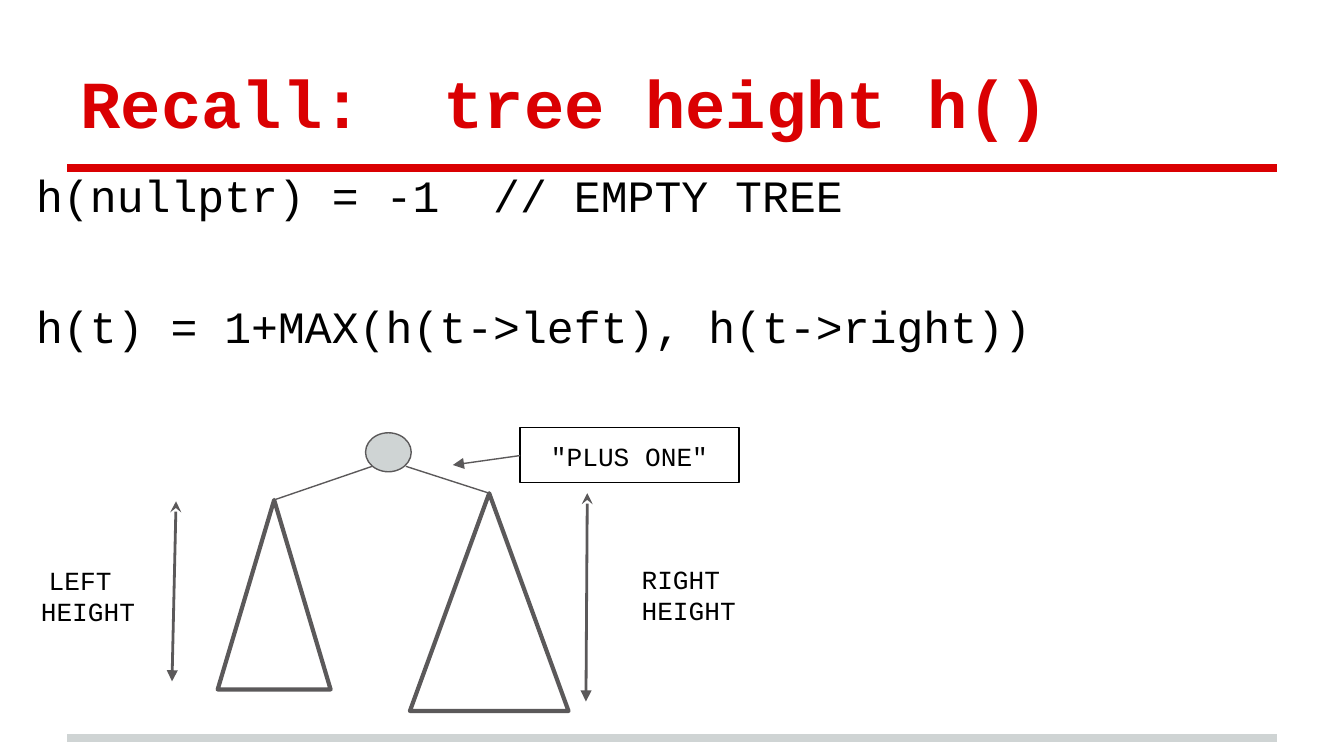
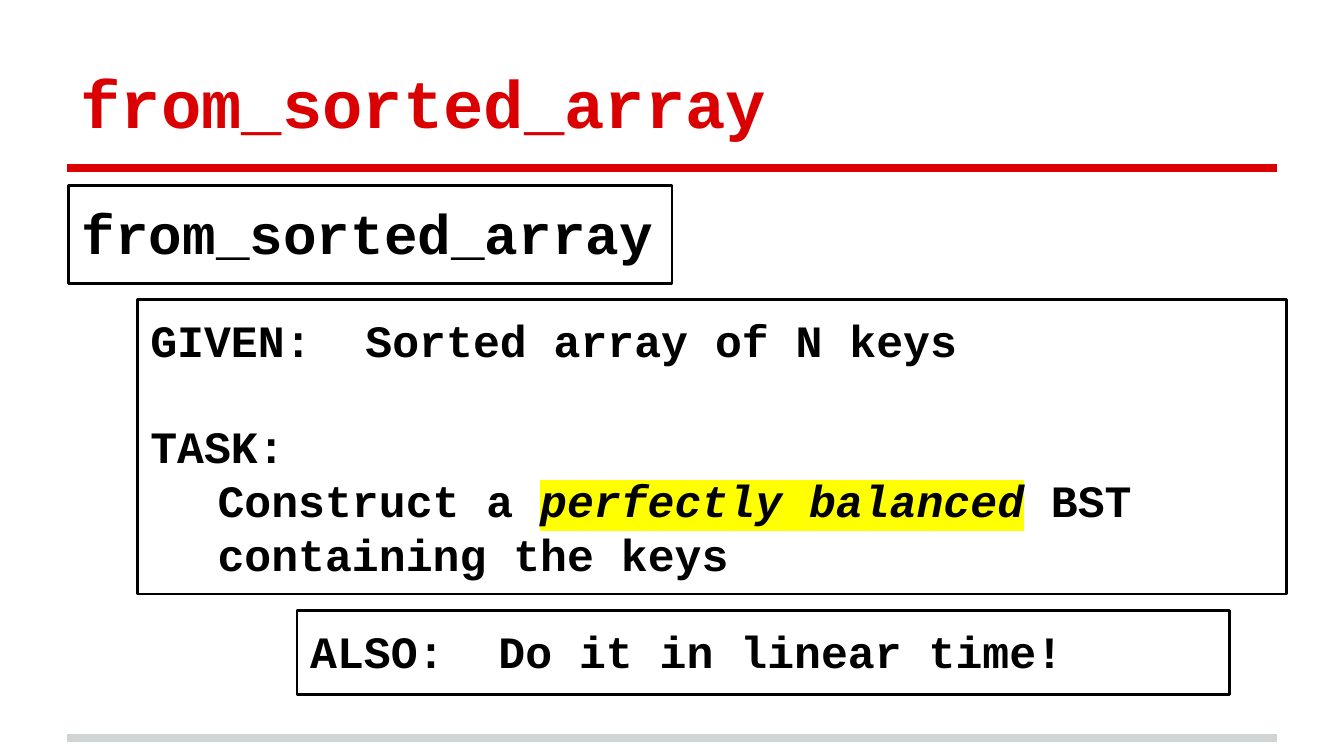
from dataclasses import dataclass
from typing import Optional

from lxml import etree
from pptx import Presentation
from pptx.dml.color import RGBColor
from pptx.enum.shapes import MSO_CONNECTOR, MSO_SHAPE
from pptx.enum.text import MSO_ANCHOR, MSO_AUTO_SIZE, PP_ALIGN
from pptx.oxml.ns import qn
from pptx.util import Emu, Pt

PX = 9144
SLIDE_W = 1000 * PX
SLIDE_H = SLIDE_W * 9 // 16
TITLE_ONLY = 5
STRAIGHT = MSO_CONNECTOR.STRAIGHT
RECT, OVAL, TRIANGLE = MSO_SHAPE.RECTANGLE, MSO_SHAPE.OVAL, MSO_SHAPE.ISOSCELES_TRIANGLE
LEFT, CENTER = PP_ALIGN.LEFT, PP_ALIGN.CENTER
TOP, BOTTOM = MSO_ANCHOR.TOP, MSO_ANCHOR.BOTTOM
NO_AUTOFIT = MSO_AUTO_SIZE.NONE


@dataclass(frozen=True)
class Theme:
    font: str = "Courier New"
    red: str = "DA0002"
    silver: str = "CFD4D4"
    gray: str = "5B595A"
    black: str = "000000"
    yellow: str = "FFFF00"
    title: int = 36
    heading: int = 30
    body: int = 24
    label: int = 14
    inset: int = 10


THEME = Theme()


@dataclass(frozen=True)
class Box:
    x: int
    y: int
    w: int
    h: int

    def emu(self) -> tuple[Emu, ...]:
        return tuple(Emu(v * PX) for v in (self.x, self.y, self.w, self.h))


@dataclass(frozen=True)
class Run:
    text: str
    italic: bool = False
    highlight: Optional[str] = None


@dataclass(frozen=True)
class Para:
    runs: tuple[Run, ...]
    before: int = 0
    indent: int = 0


@dataclass(frozen=True)
class Style:
    size: int
    bold: bool = False
    color: str = THEME.black
    align: PP_ALIGN = LEFT
    anchor: MSO_ANCHOR = TOP


@dataclass(frozen=True)
class Line:
    x1: int
    y1: int
    x2: int
    y2: int
    color: str = THEME.gray
    width: float = 0.75
    head: Optional[str] = None
    tail: Optional[str] = None


@dataclass(frozen=True)
class Outline:
    kind: MSO_SHAPE
    box: Box
    width: float
    fill: Optional[str] = None
    color: str = THEME.gray


@dataclass(frozen=True)
class Panel:
    box: Box
    paras: tuple[Para, ...]
    style: Style
    border: Optional[float] = None


def rgb(color: str) -> RGBColor:
    return RGBColor.from_string(color)


def lines(*texts: str, before: int = 0) -> tuple[Para, ...]:
    return tuple(Para((Run(t),), before if i else 0) for i, t in enumerate(texts))


def write(tf, paras: tuple[Para, ...], style: Style) -> None:
    inset = Emu(THEME.inset * PX)
    frame = {"word_wrap": True, "auto_size": NO_AUTOFIT, "vertical_anchor": style.anchor}
    frame |= {f"margin_{side}": inset for side in ("left", "top", "right", "bottom")}
    for name, value in frame.items():
        setattr(tf, name, value)
    for i, para in enumerate(paras):
        p = tf.add_paragraph() if i else tf.paragraphs[0]
        p.alignment = style.align
        if para.before:
            p.space_before = Pt(para.before)
        if para.indent:
            pPr = p._p.get_or_add_pPr()
            pPr.set("marL", str(para.indent * PX))
            pPr.set("indent", "0")
        for run in para.runs:
            r = p.add_run()
            r.text = run.text
            r.font.color.rgb = rgb(style.color)
            fmt = {"name": THEME.font, "size": Pt(style.size),
                   "bold": style.bold, "italic": run.italic}
            for name, value in fmt.items():
                setattr(r.font, name, value)
            if run.highlight:
                mark = etree.Element(qn("a:highlight"))
                etree.SubElement(mark, qn("a:srgbClr"), val=run.highlight)
                r.font._element.find(qn("a:latin")).addprevious(mark)


def draw_line(s, line: Line) -> None:
    ends = (Emu(v * PX) for v in (line.x1, line.y1, line.x2, line.y2))
    cxn = s.shapes.add_connector(STRAIGHT, *ends)
    cxn.line.color.rgb = rgb(line.color)
    cxn.line.width = Pt(line.width)
    ln = cxn.line._get_or_add_ln()
    for tag, kind in (("a:headEnd", line.head), ("a:tailEnd", line.tail)):
        if kind:
            etree.SubElement(ln, qn(tag), type=kind)
    etree.SubElement(cxn._element.spPr, qn("a:effectLst"))


def draw_outline(s, outline: Outline):
    sp = s.shapes.add_shape(outline.kind, *outline.box.emu())
    sp.shadow.inherit = False
    if outline.fill:
        sp.fill.solid()
        sp.fill.fore_color.rgb = rgb(outline.fill)
    else:
        sp.fill.background()
    sp.line.color.rgb = rgb(outline.color)
    sp.line.width = Pt(outline.width)
    return sp


def draw_panel(s, panel: Panel) -> None:
    if panel.border:
        sp = draw_outline(s, Outline(RECT, panel.box, panel.border, color=THEME.black))
    else:
        sp = s.shapes.add_textbox(*panel.box.emu())
    write(sp.text_frame, panel.paras, panel.style)


TITLE_BOX = Box(50, 23, 900, 93)
TITLE_STYLE = Style(THEME.title, True, THEME.red, anchor=BOTTOM)
BODY = Style(THEME.body)
BOLD_BODY = Style(THEME.body, True)
LABEL = Style(THEME.label, align=CENTER)
RULES = (
    Line(50, 549, 950, 549, THEME.silver, 4),
    Line(50, 125, 950, 125, THEME.red, 4),
)

TREE = (
    Outline(OVAL, Box(272, 322, 34, 29), 0.75, THEME.silver),
    Outline(TRIANGLE, Box(162, 372, 84, 141), 2.25),
    Outline(TRIANGLE, Box(305, 367, 118, 162), 2.25),
)
TREE_LINES = (
    Line(277, 347, 204, 372),
    Line(302, 347, 364, 367),
    Line(131, 373, 128, 507, width=1.5, head="stealth", tail="triangle"),
    Line(437, 367, 436, 522, width=1.5, head="stealth", tail="triangle"),
    Line(387, 339, 337, 346, tail="triangle"),
)
HEIGHT_PANELS = (
    Panel(Box(17, 115, 991, 176),
          lines("h(nullptr) = -1  // EMPTY TREE",
                "h(t) = 1+MAX(h(t->left), h(t->right))", before=41), BODY),
    Panel(Box(457, 409, 111, 58), lines("RIGHT ", "HEIGHT"), LABEL),
    Panel(Box(10, 410, 111, 41), lines("LEFT ", "HEIGHT"), LABEL),
    Panel(Box(387, 318, 163, 41), lines('"PLUS ONE"'), LABEL, 0.75),
)

TASK = (
    *lines("GIVEN:  Sorted array of N keys", "TASK:", before=28),
    Para((Run("Construct a "),
          Run("perfectly balanced", True, THEME.yellow),
          Run(" BST containing the keys")), indent=50),
)
ARRAY_PANELS = (
    Panel(Box(51, 138, 449, 73), lines("from_sorted_array"),
          Style(THEME.heading, True), 1.5),
    Panel(Box(102, 223, 855, 219), TASK, BOLD_BODY, 1.5),
    Panel(Box(221, 454, 694, 63), lines("ALSO:  Do it in linear time!"), BOLD_BODY, 1.5),
)


def add_slide(prs, title: str):
    s = prs.slides.add_slide(prs.slide_layouts[TITLE_ONLY])
    for rule in RULES:
        draw_line(s, rule)
    sp = s.shapes.title
    for name, value in zip(("left", "top", "width", "height"), TITLE_BOX.emu()):
        setattr(sp, name, value)
    write(sp.text_frame, lines(title), TITLE_STYLE)
    return s


def build_tree_height(prs) -> None:
    s = add_slide(prs, "Recall:  tree height h()")
    for outline in TREE:
        draw_outline(s, outline)
    for panel in HEIGHT_PANELS:
        draw_panel(s, panel)
    for line in TREE_LINES:
        draw_line(s, line)


def build_sorted_array(prs) -> None:
    s = add_slide(prs, "from_sorted_array")
    for panel in ARRAY_PANELS:
        draw_panel(s, panel)


def main() -> None:
    prs = Presentation()
    prs.slide_width, prs.slide_height = Emu(SLIDE_W), Emu(SLIDE_H)
    build_tree_height(prs)
    build_sorted_array(prs)
    prs.save("out.pptx")


if __name__ == "__main__":
    main()
